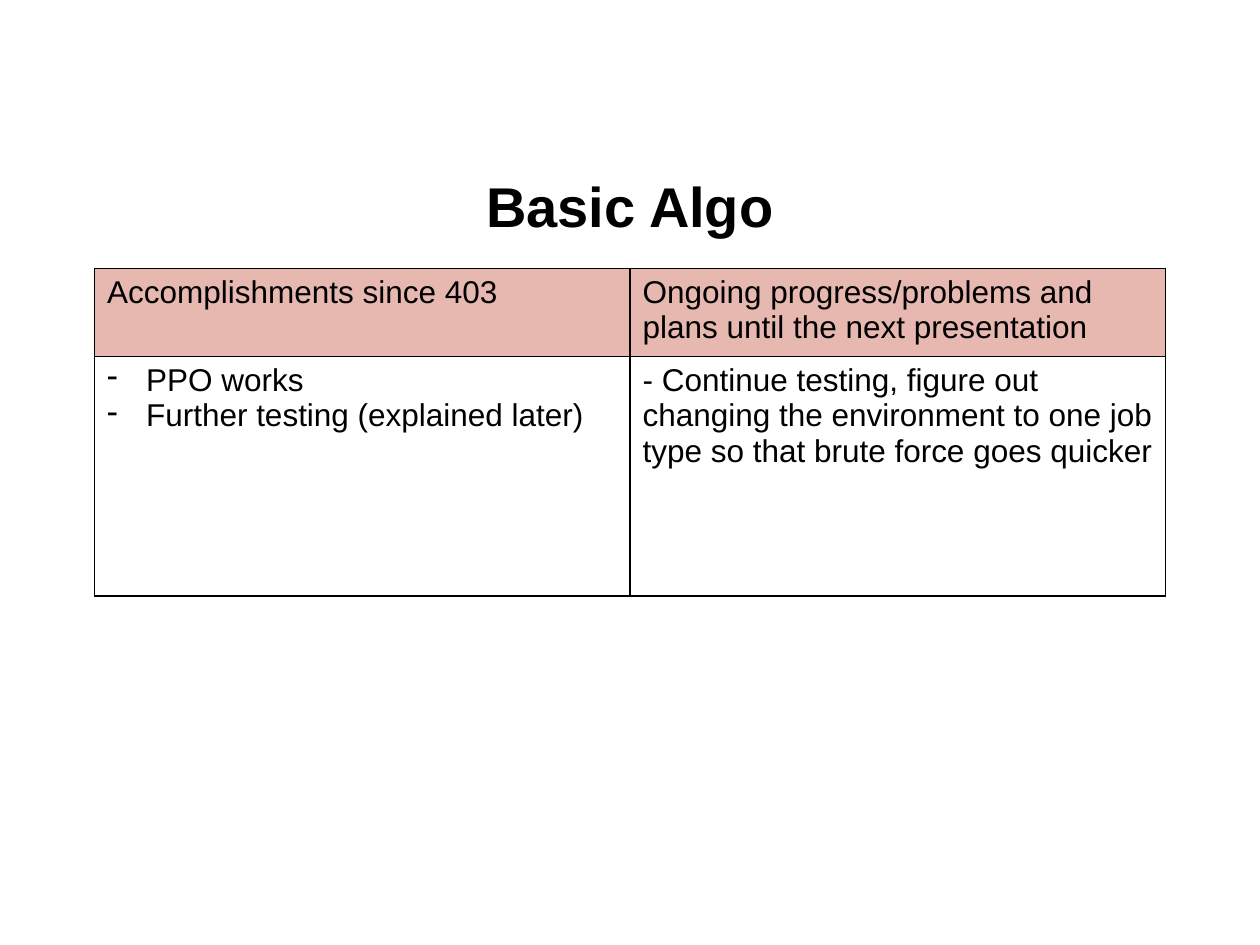
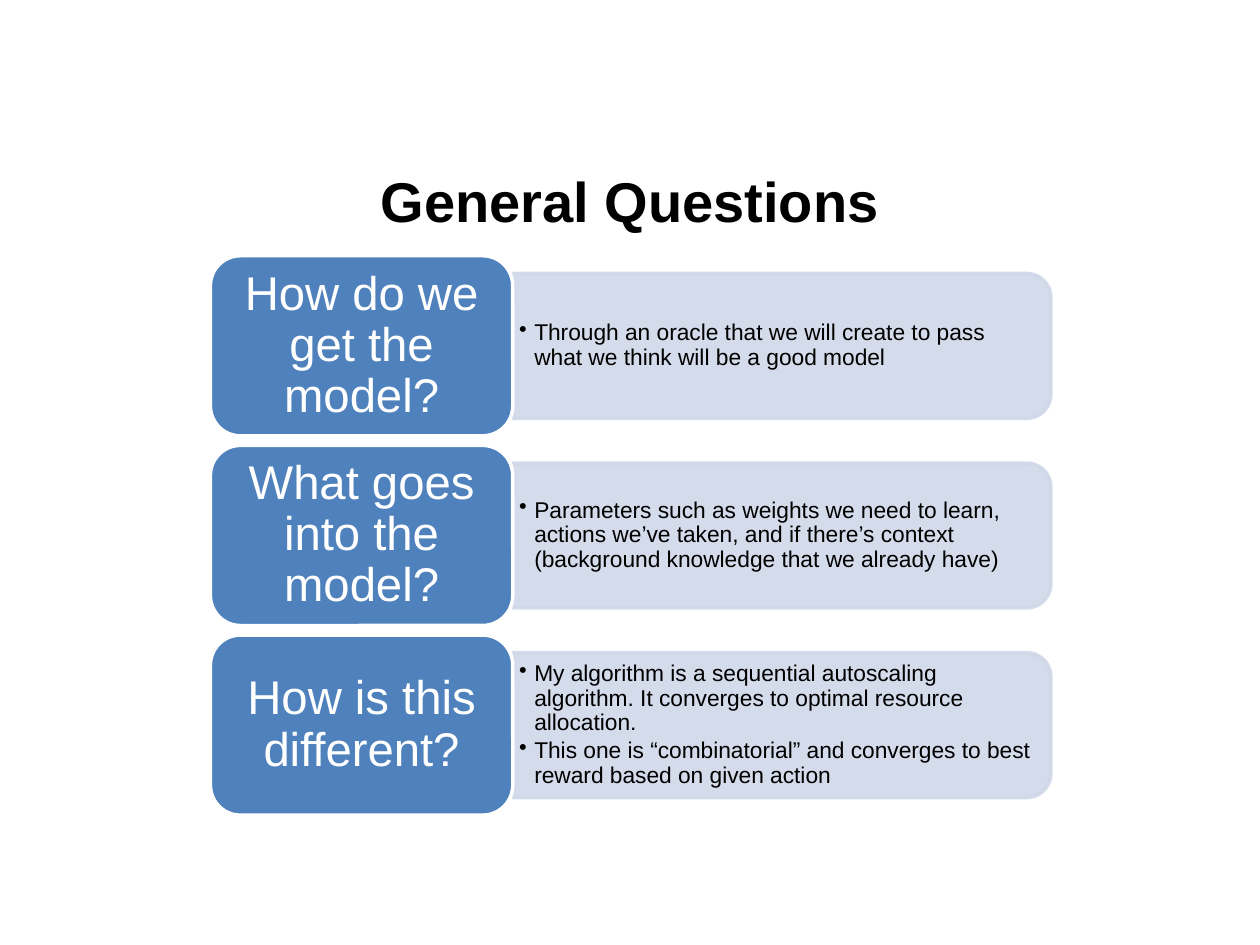
import dataclasses

import lxml.etree
import pptx
import pptx.dml.color
import pptx.enum.shapes
import pptx.enum.text
import pptx.oxml.ns
import pptx.util

Inches = pptx.util.Inches
Pt = pptx.util.Pt
qn = pptx.oxml.ns.qn
rgb = pptx.dml.color.RGBColor.from_string
SHAPE = pptx.enum.shapes.MSO_SHAPE
ALIGN = pptx.enum.text.PP_ALIGN
ANCHOR = pptx.enum.text.MSO_ANCHOR


@dataclasses.dataclass(frozen=True)
class Theme:
    font: str = "Arial"
    ink: str = "000000"
    paper: str = "FFFFFF"
    header: str = "E6B8AF"
    question: str = "4F81BD"
    answer: str = "D0D8E8"
    title_size: int = 32
    table_size: int = 18
    question_size: int = 27
    answer_size: int = 13


theme = Theme()


def write_text(frame, lines, size, color=theme.ink, bold=False, align=ALIGN.LEFT,
               anchor=ANCHOR.TOP, spacing=1.0, after=0, bullet=None, indent=0,
               inset=(0.1, 0.05)):
    """Fill a text frame with one paragraph for each line."""
    frame.word_wrap = True
    frame.vertical_anchor = anchor
    frame.margin_left = frame.margin_right = Inches(inset[0])
    frame.margin_top = frame.margin_bottom = Inches(inset[1])
    for index, line in enumerate(lines):
        paragraph = frame.add_paragraph() if index else frame.paragraphs[0]
        paragraph.alignment = align
        paragraph.line_spacing = spacing
        paragraph.space_after = Pt(after)
        run = paragraph.add_run()
        run.text = line
        run.font.name = theme.font
        run.font.size = Pt(size)
        run.font.bold = bold
        run.font.color.rgb = rgb(color)
        if bullet:
            properties = paragraph._p.get_or_add_pPr()
            properties.set("marL", str(Inches(indent)))
            properties.set("indent", str(-Inches(indent)))
            lxml.etree.SubElement(properties, qn("a:buChar"), char=bullet)


presentation = pptx.Presentation()
presentation.slide_width = Inches(10)
presentation.slide_height = Inches(7.5)

# Both slides with their titles
slides = []
for title, spacing in (("Basic Algo", 1.15), ("General Questions", 1.0)):
    slide = presentation.slides.add_slide(presentation.slide_layouts[6])
    box = slide.shapes.add_textbox(Inches(0.5), Inches(1.15), Inches(9), Inches(0.88))
    write_text(box.text_frame, [title], theme.title_size, bold=True,
               align=ALIGN.CENTER, anchor=ANCHOR.MIDDLE, spacing=spacing)
    slides.append(slide)
progress_slide, questions_slide = slides

# Progress table
cells = [
    [["Accomplishments since 403"],
     ["Ongoing progress/problems and plans until the next presentation"]],
    [["PPO works", "Further testing (explained later)"],
     ["- Continue testing, figure out changing the environment to one job type "
      "so that brute force goes quicker"]],
]
table = progress_slide.shapes.add_table(
    2, 2, Inches(0.75), Inches(2.13), Inches(8.5), Inches(2.6)).table
table.first_row = False
table.horz_banding = False
for row, height in zip(table.rows, (0.7, 1.9)):
    row.height = Inches(height)
for row_index, row_cells in enumerate(cells):
    for column_index, lines in enumerate(row_cells):
        cell = table.cell(row_index, column_index)
        write_text(cell.text_frame, lines, theme.table_size,
                   bullet="-" if len(lines) > 1 else None, indent=0.31)
        cell_properties = cell._tc.get_or_add_tcPr()
        for side in ("a:lnL", "a:lnR", "a:lnT", "a:lnB"):
            border = lxml.etree.SubElement(cell_properties, qn(side), w=str(Pt(1)))
            fill = lxml.etree.SubElement(border, qn("a:solidFill"))
            lxml.etree.SubElement(fill, qn("a:srgbClr"), val=theme.ink)
        if row_index == 0:
            cell.fill.solid()
            cell.fill.fore_color.rgb = rgb(theme.header)
        else:
            cell.fill.background()

# Question blocks with their answer bands
questions = [
    ("How do we get the model?",
     ["Through an oracle that we will create to pass what we think will be a good model"]),
    ("What goes into the model?",
     ["Parameters such as weights we need to learn, actions we’ve taken, and if "
      "there’s context (background knowledge that we already have)"]),
    ("How is this different?",
     ["My algorithm is a sequential autoscaling algorithm. It converges to optimal "
      "resource allocation.",
      "This one is “combinatorial” and converges to best reward based on given action"]),
]
block_left, block_top, block_width, block_height = 1.67, 2.03, 2.4, 1.43
row_pitch = 1.505
band_length, band_height = 4.27, 1.15
block_right = block_left + block_width
shapes = questions_slide.shapes
for index, (question, answers) in enumerate(questions):
    top = block_top + index * row_pitch
    middle = top + block_height / 2

    # The band stands upright before its quarter turn
    band = shapes.add_shape(
        SHAPE.ROUND_2_SAME_RECTANGLE,
        Inches(block_right + (band_length - band_height) / 2),
        Inches(middle - band_length / 2), Inches(band_height), Inches(band_length))
    band.rotation = 90
    answer_box = shapes.add_textbox(
        Inches(block_right), Inches(middle - 0.515), Inches(4.21), Inches(1.03))
    write_text(answer_box.text_frame, answers, theme.answer_size, anchor=ANCHOR.MIDDLE,
               spacing=0.9, after=2, bullet="•", indent=0.12, inset=(0.05, 0.03))

    block = shapes.add_shape(SHAPE.ROUNDED_RECTANGLE, Inches(block_left), Inches(top),
                             Inches(block_width), Inches(block_height))
    question_box = shapes.add_textbox(
        Inches(block_left + 0.07), Inches(top + 0.07),
        Inches(block_width - 0.14), Inches(block_height - 0.14))
    write_text(question_box.text_frame, [question], theme.question_size, theme.paper,
               align=ALIGN.CENTER, anchor=ANCHOR.MIDDLE, spacing=0.9, inset=(0.11, 0.06))

    for shape, fill_color, line_color in ((band, theme.answer, theme.answer),
                                          (block, theme.question, theme.paper)):
        shape.shadow.inherit = False
        shape.fill.solid()
        shape.fill.fore_color.rgb = rgb(fill_color)
        shape.line.color.rgb = rgb(line_color)
        shape.line.width = Pt(2)
    for color in band._element.spPr.iter(qn("a:srgbClr")):
        lxml.etree.SubElement(color, qn("a:alpha"), val="90000")

presentation.save("out.pptx")
